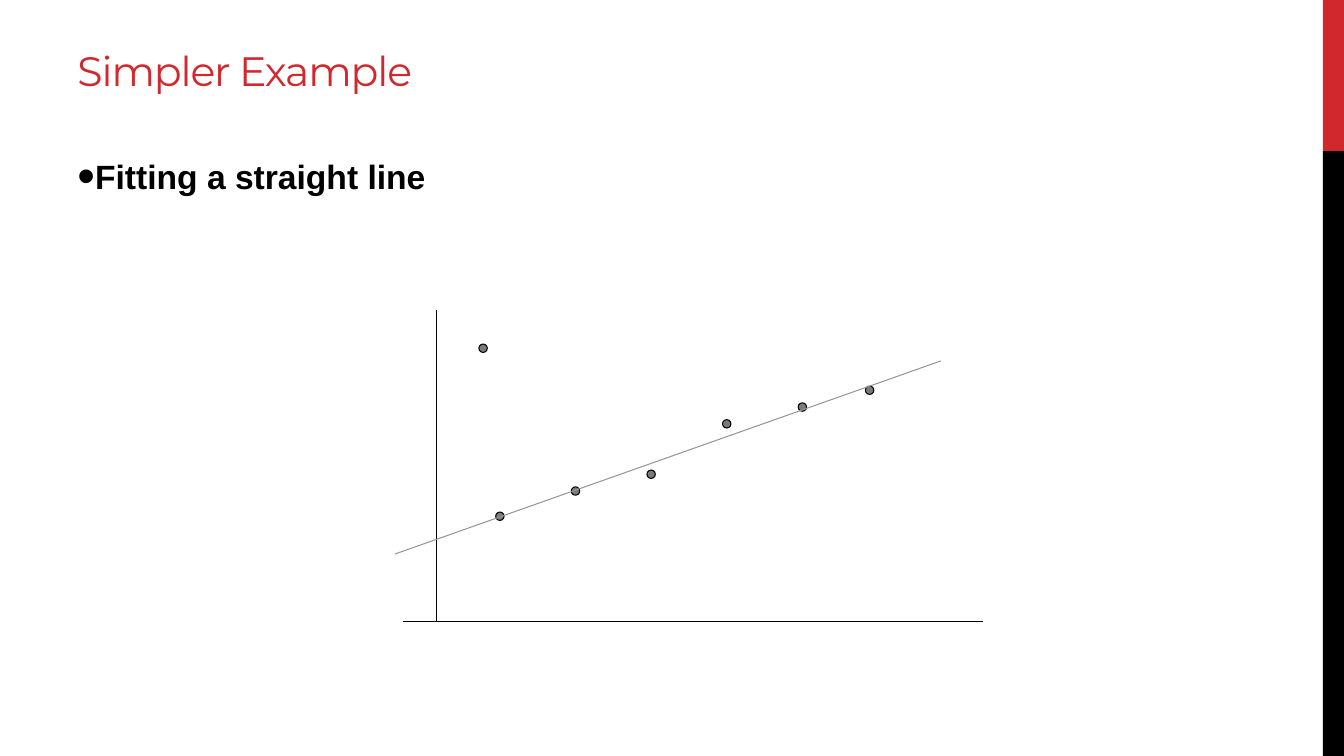
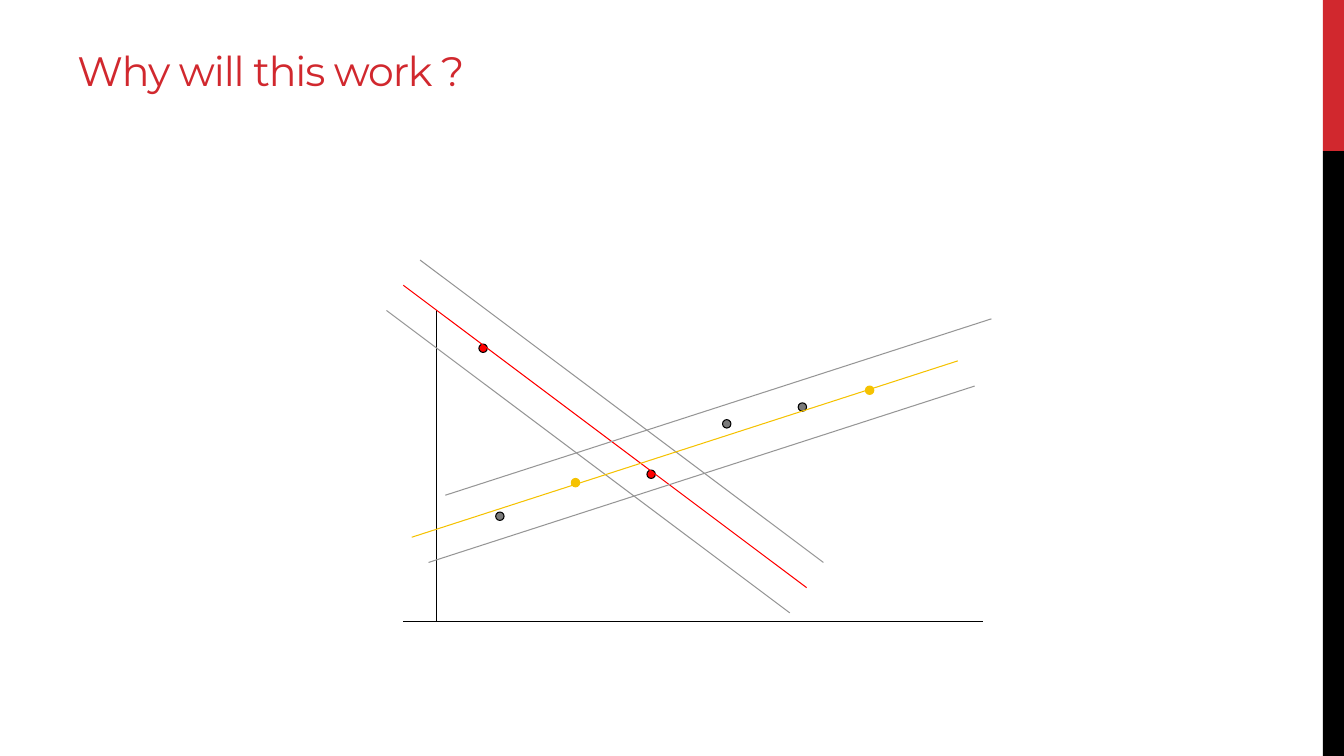
import pptx
import pptx.util
import pptx.dml.color
import pptx.enum.shapes
import pptx.enum.text
import lxml.etree

Inches = pptx.util.Inches
Pt = pptx.util.Pt
Kind = pptx.enum.shapes.MSO_SHAPE

WIDE, HIGH = 13.33, 7.5
RED, BLACK, DOT, GREY = "D1282E", "000000", "7A7A7A", "969696"
PURE, GOLD = "FF0000", "F5C201"
TITLE = (0.67, 0.17, 11.98, 1.06)
BODY = (0.67, 1.5, 11.98, 5.2)
PLOT = (4, 3.08, 5.75)
COLS, ROWS, AXIS = 69, 37, 4
SPOTS = [(11, 24), (20, 21), (29, 19), (38, 13), (55, 9), (47, 11), (9, 4)]
NS = "http://schemas.openxmlformats.org/drawingml/2006/main"


def paint(color, text):
    """Set a colour format from a hex string."""
    color.rgb = pptx.dml.color.RGBColor.from_string(text)


def tag(parent, name, **attrs):
    """Append a drawing element with its attributes."""
    return lxml.etree.SubElement(parent, f"{{{NS}}}{name}", attrs)


def shape(slide, kind, box, fill, edge=None):
    """Add a flat shape, outlined when an edge colour is given."""
    item = slide.shapes.add_shape(kind, *map(Inches, box))
    item.shadow.inherit = False
    item.fill.solid()
    paint(item.fill.fore_color, fill)
    if edge:
        item.line.width = Pt(0.75)
        paint(item.line.color, edge)
    else:
        item.line.fill.background()


def write(slide, box, text, face, size, color, anchor):
    """Add a wrapped text box and return its paragraph."""
    frame = slide.shapes.add_textbox(*map(Inches, box)).text_frame
    frame.word_wrap = True
    frame.vertical_anchor = anchor
    para = frame.paragraphs[0]
    para.text = text
    para.font.name = face
    para.font.size = Pt(size)
    paint(para.font.color, color)
    return para


def base(deck, title):
    """Add a slide with the side bands and its title."""
    slide = deck.slides.add_slide(deck.slide_layouts[6])
    left, split = 13.12, 1.5
    shape(slide, Kind.RECTANGLE, (left, 0, WIDE - left, split), RED)
    shape(slide, Kind.RECTANGLE, (left, split, WIDE - left, HIGH - split), BLACK)
    para = write(slide, TITLE, title, "Montserrat", 29.3, RED,
                 pptx.enum.text.MSO_ANCHOR.MIDDLE)
    para.runs[0]._r.get_or_add_rPr().set("spc", "-80")
    return slide


def bullet(slide, box, text):
    """Add a bold line with a large bullet."""
    para = write(slide, box, text, "Arial", 24, BLACK,
                 pptx.enum.text.MSO_ANCHOR.TOP)
    props = para._p.get_or_add_pPr()
    indent = Inches(0.16)
    props.set("marL", str(indent))
    props.set("indent", str(-indent))
    marks = [tag(props, "buSzPct", val="150000"),
             tag(props, "buFont", typeface="Arial"),
             tag(props, "buChar", char="•")]
    for spot, mark in enumerate(marks):
        props.insert(spot, mark)
    para.space_after = Pt(8)
    para.font.bold = True


def rule(shapes, plot, start, end, color):
    """Draw a line between two grid points of the plot."""
    left, top, width = plot
    unit = width / COLS
    ends = [Inches(edge + step * unit)
            for point in (start, end) for edge, step in zip((left, top), point)]
    line = shapes.add_connector(pptx.enum.shapes.MSO_CONNECTOR.STRAIGHT, *ends)
    line.line.width = Pt(0.75)
    paint(line.line.color, color)
    tag(line._element.spPr, "effectLst")


def chart(slide, plot, spots, tints):
    """Draw the axes and the dots, tinted by index where asked."""
    left, top, width = plot
    unit = width / COLS
    rule(slide.shapes, plot, (AXIS, 0), (AXIS, ROWS), BLACK)
    rule(slide.shapes, plot, (0, ROWS), (COLS, ROWS), BLACK)
    for rank, (col, row) in enumerate(spots):
        fill = tints.get(rank, DOT)
        edge = GOLD if fill == GOLD else BLACK
        box = (left + col * unit, top + row * unit, unit, unit)
        shape(slide, Kind.OVAL, box, fill, edge)


def band(slide, plot, start, end, shifts, color):
    """Group a coloured line with its grey parallels."""
    group = slide.shapes.add_group_shape()
    for right, down in shifts:
        first, last = [(col + right, row + down) for col, row in (start, end)]
        tint = GREY if right or down else color
        rule(group.shapes, plot, first, last, tint)


def fit(deck):
    """Build the slide with one fitted line."""
    slide = base(deck, "Simpler Example")
    bullet(slide, BODY, "Fitting a straight line")
    chart(slide, PLOT, SPOTS, {})
    rule(slide.shapes, PLOT, (-1, 29), (64, 6), GREY)


def why(deck):
    """Build the slide that compares two candidate lines."""
    slide = base(deck, "Why will this work ?")
    spots = SPOTS[:1] + [(20, 20)] + SPOTS[2:]
    chart(slide, PLOT, spots, {1: GOLD, 4: GOLD, 2: PURE, 6: PURE})
    band(slide, PLOT, (48, 33), (0, -3), [(-2, 3), (0, 0), (2, -3)], PURE)
    band(slide, PLOT, (1, 27), (66, 6), [(0, 0), (2, 3), (4, -5)], GOLD)


def main():
    """Build and save the deck."""
    deck = pptx.Presentation()
    deck.slide_width = Inches(WIDE)
    deck.slide_height = Inches(HIGH)
    fit(deck)
    why(deck)
    deck.save("out.pptx")


if __name__ == "__main__":
    main()
